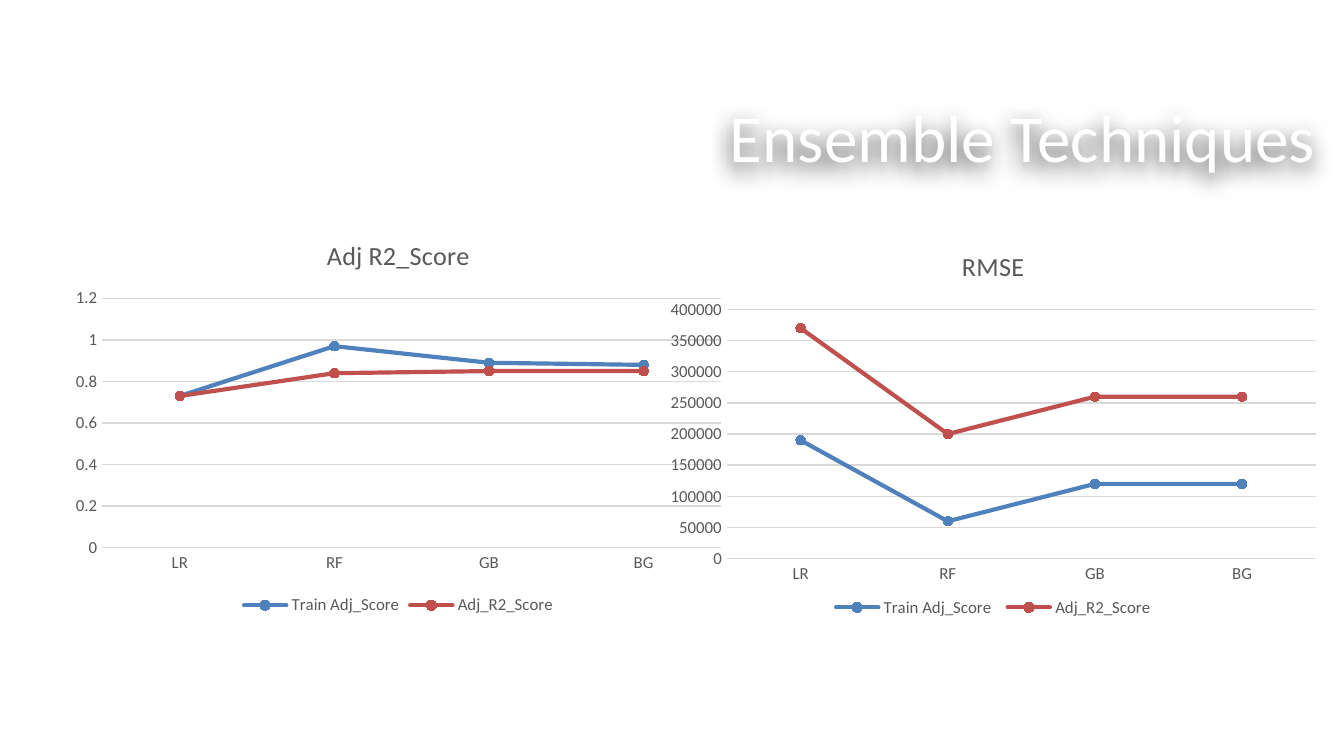
from lxml.etree import SubElement
from pptx import Presentation
from pptx.chart.data import CategoryChartData
from pptx.dml.color import RGBColor
from pptx.enum.chart import XL_CHART_TYPE as ChartType, XL_LEGEND_POSITION as LegendPosition
from pptx.enum.chart import XL_MARKER_STYLE as MarkerStyle, XL_TICK_MARK as TickMark
from pptx.enum.text import MSO_ANCHOR, PP_ALIGN
from pptx.oxml.ns import qn
from pptx.util import Cm, Pt

HEADING = "Ensemble Techniques"
FONT = "Calibri"
WHITE, BLACK, GRAY, PALE = "FFFFFF", "000000", "595959", "D9D9D9"
MODELS = ["LR", "RF", "GB", "BG"]
SERIES = [("Train Adj_Score", "4F81BD"), ("Adj_R2_Score", "C0504D")]
CHART_SIZE = Cm(12.7), Cm(7.62)
CHARTS = [
    {
        "title": "Adj R2_Score",
        "kind": ChartType.LINE_MARKERS,
        "corner": (Cm(1.18), Cm(4.11)),
        "scores": [(0.73, 0.97, 0.89, 0.88), (0.73, 0.84, 0.85, 0.85)],
        "top": 1.2,
        "step": 0.2,
        "legend": None,
    },
    {
        "title": "RMSE",
        "kind": ChartType.LINE_MARKERS_STACKED,
        "corner": (Cm(12.42), Cm(4.32)),
        "scores": [(190000, 60000, 120000, 120000), (180000, 140000, 140000, 140000)],
        "top": 400000,
        "step": 50000,
        "legend": {"x": 0.25, "y": 0.9, "w": 0.5, "h": 0.08},
    },
]


def color(value):
    return RGBColor.from_string(value)


def style_font(font, size, value):
    font.name = FONT
    font.size = Pt(size)
    font.bold = False
    font.color.rgb = color(value)


def style_line(line, width, value):
    line.width = Pt(width)
    line.color.rgb = color(value)


def add_heading(slide):
    heading = slide.shapes.title
    heading.left, heading.top = Cm(2.64), Cm(1.5)
    heading.width, heading.height = Cm(22.48), Cm(2.13)
    frame = heading.text_frame
    frame.text = HEADING
    frame.word_wrap = True
    frame.vertical_anchor = MSO_ANCHOR.MIDDLE
    paragraph = frame.paragraphs[0]
    paragraph.alignment = PP_ALIGN.RIGHT
    style_font(paragraph.font, 36, WHITE)
    effects = SubElement(heading.element.spPr, qn("a:effectLst"))
    shadow = SubElement(effects, qn("a:outerShdw"), blurRad="150000", dist="50800",
                        dir="7200000", algn="ctr", rotWithShape="0")
    shade = SubElement(shadow, qn("a:srgbClr"), val=BLACK)
    SubElement(shade, qn("a:alpha"), val="75000")


def place_legend(legend, area):
    layout = legend.find(qn("c:layout"))
    if layout is None:
        layout = SubElement(legend, qn("c:layout"))
        legend.find(qn("c:legendPos")).addnext(layout)
    manual = SubElement(layout, qn("c:manualLayout"))
    for side in "xy":
        SubElement(manual, qn(f"c:{side}Mode"), val="edge")
    for side, share in area.items():
        SubElement(manual, qn(f"c:{side}"), val=str(share))


def add_score_chart(slide, content):
    data = CategoryChartData()
    data.categories = MODELS
    for (name, _), scores in zip(SERIES, content["scores"]):
        data.add_series(name, scores)
    chart = slide.shapes.add_chart(content["kind"], *content["corner"], *CHART_SIZE, data).chart
    style_font(chart.font, 10, BLACK)

    chart.has_title = True
    title = chart.chart_title
    title.include_in_layout = False
    title.text_frame.text = content["title"]
    style_font(title.text_frame.paragraphs[0].font, 14, GRAY)

    chart.has_legend = True
    chart.legend.position = LegendPosition.BOTTOM
    chart.legend.include_in_layout = False
    style_font(chart.legend.font, 9, GRAY)
    if content["legend"]:
        place_legend(next(chart.element.iter(qn("c:legend"))), content["legend"])

    models, values = chart.category_axis, chart.value_axis
    for axis in (models, values):
        axis.major_tick_mark = axis.minor_tick_mark = TickMark.NONE
        style_font(axis.tick_labels.font, 9, GRAY)
    style_line(models.format.line, 0.75, PALE)
    values.format.line.fill.background()
    values.minimum_scale, values.maximum_scale = 0, content["top"]
    values.major_unit = content["step"]
    style_line(values.major_gridlines.format.line, 0.75, PALE)

    plot = chart.plots[0]
    plot.vary_by_categories = False
    for series, (_, tint) in zip(plot.series, SERIES):
        series.smooth = False
        style_line(series.format.line, 2.25, tint)
        marker = series.marker
        marker.style = MarkerStyle.CIRCLE
        marker.size = 5
        marker.format.fill.solid()
        marker.format.fill.fore_color.rgb = color(tint)
        style_line(marker.format.line, 0.75, tint)
    for series in chart.element.iter(qn("c:ser")):
        series.find(qn("c:spPr")).find(qn("a:ln")).set("cap", "rnd")


def main():
    deck = Presentation()
    deck.slide_width, deck.slide_height = Cm(25.4), Cm(14.29)
    slide = deck.slides.add_slide(deck.slide_layouts[5])
    slide.background.fill.solid()
    slide.background.fill.fore_color.rgb = color(WHITE)
    add_heading(slide)
    for content in CHARTS:
        add_score_chart(slide, content)
    deck.save("out.pptx")


if __name__ == "__main__":
    main()
